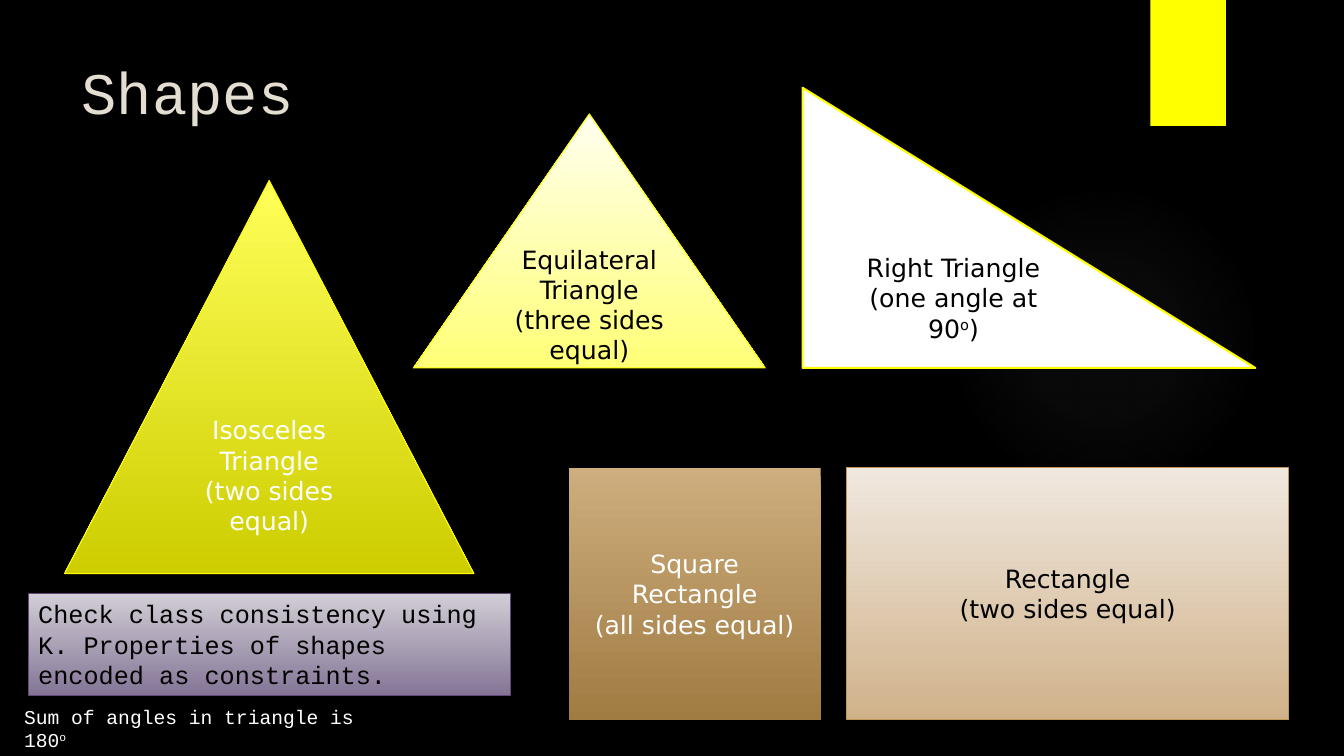
from dataclasses import dataclass

from lxml import etree
from pptx import Presentation
from pptx.dml.color import RGBColor
from pptx.enum import shapes, text
from pptx.oxml import ns
from pptx.util import Inches, Pt


@dataclass(frozen=True)
class Theme:
    background: str = "000000"
    heading: str = "E3DED1"
    accent: str = "FFFF00"
    light: str = "FFFFFF"
    dark: str = "000000"
    glow: str = "848484"
    tan_line: str = "C19859"
    note_line: str = "604878"
    isosceles: tuple = ("FFFF59", "CDCD00")
    equilateral: tuple = ("FFFFEF", "FFFF77")
    square: tuple = ("CEAE7E", "A07B42")
    rectangle: tuple = ("F0E8DF", "D0B28A")
    note: tuple = ("D1CDD5", "847596")
    mono: str = "Courier New"
    sans: str = "DejaVu Sans"
    title_size: int = 42
    body_size: int = 18
    small_size: int = 14


THEME = Theme()
SHAPE = shapes.MSO_SHAPE
ALIGN = text.PP_ALIGN
ANCHOR = text.MSO_ANCHOR


def rgb(value):
    return RGBColor.from_string(value)


def write(frame, lines, font, size, color, align=ALIGN.LEFT, anchor=ANCHOR.TOP):
    """Fill a text frame; parts between carets are superscript."""
    frame.word_wrap = True
    frame.auto_size = text.MSO_AUTO_SIZE.NONE
    frame.vertical_anchor = anchor
    for index, line in enumerate(lines):
        paragraph = frame.add_paragraph() if index else frame.paragraphs[0]
        paragraph.alignment = align
        paragraph.font.name = font
        paragraph.font.size = Pt(size)
        paragraph.font.color.rgb = rgb(color)
        for part, piece in enumerate(line.split("^")):
            run = paragraph.add_run()
            run.text = piece
            if part % 2:
                run.font._element.set("baseline", "30000")


def add_figure(slide, kind, box, fill, line=None, width=0.75):
    """Add a preset shape; a pair of colours gives a top-to-bottom gradient."""
    shape = slide.shapes.add_shape(kind, *map(Inches, box))
    shape.shadow.inherit = False
    if isinstance(fill, tuple):
        shape.fill.gradient()
        shape.fill.gradient_angle = 270
        for stop, color in zip(shape.fill.gradient_stops, fill):
            stop.color.rgb = rgb(color)
    else:
        shape.fill.solid()
        shape.fill.fore_color.rgb = rgb(fill)
    if line:
        shape.line.color.rgb = rgb(line)
        shape.line.width = Pt(width)
    else:
        shape.line.fill.background()
    return shape


def add_labelled(slide, kind, box, lines, color, fill, line=None, width=0.75):
    shape = add_figure(slide, kind, box, fill, line, width)
    write(shape.text_frame, lines, THEME.sans, THEME.body_size, color,
          ALIGN.CENTER, ANCHOR.MIDDLE)


def add_glow(slide, box):
    """Faint round glow that fades out towards its edge."""
    glow = add_figure(slide, SHAPE.OVAL, box, THEME.glow)
    solid = glow._element.spPr.find(ns.qn("a:solidFill"))
    stops = "".join(
        f'<a:gs pos="{position}000"><a:srgbClr val="{THEME.glow}">'
        f'<a:alpha val="{alpha}000"/></a:srgbClr></a:gs>'
        for position, alpha in ((0, 7), (36, 6), (69, 0)))
    gradient = etree.fromstring(
        f'<a:gradFill {ns.nsdecls("a")}><a:gsLst>{stops}</a:gsLst>'
        '<a:path path="circle"><a:fillToRect l="50000" t="50000" '
        'r="50000" b="50000"/></a:path></a:gradFill>')
    solid.getparent().replace(solid, gradient)


def add_title(slide, box):
    title = slide.shapes.title
    title.left, title.top, title.width, title.height = map(Inches, box)
    write(title.text_frame, ["Shapes"], THEME.mono, THEME.title_size, THEME.heading)


def add_triangles(slide, left, top):
    """Three triangles; the right-hand two share a base line."""
    base = top + 2.78
    add_labelled(slide, SHAPE.ISOSCELES_TRIANGLE, (left, top + 0.92, 4.06, 3.9),
                 ["Isosceles Triangle", "(two sides equal)"],
                 THEME.light, THEME.isosceles, THEME.accent)
    add_labelled(slide, SHAPE.RIGHT_TRIANGLE, (left + 7.32, top, 4.49, 2.78),
                 ["Right Triangle", "(one angle at 90^o^)"],
                 THEME.dark, THEME.light, THEME.accent, 1.5)
    add_labelled(slide, SHAPE.ISOSCELES_TRIANGLE, (left + 3.46, base - 2.52, 3.49, 2.52),
                 ["Equilateral Triangle", "(three sides equal)"],
                 THEME.dark, THEME.equilateral, THEME.accent)


def add_rectangles(slide, left, top, side):
    add_labelled(slide, SHAPE.RECTANGLE, (left, top, side, side),
                 ["Square", "Rectangle", "(all sides equal)"],
                 THEME.light, THEME.square)
    add_labelled(slide, SHAPE.RECTANGLE, (left + side + 0.26, top, 4.38, side),
                 ["Rectangle", "(two sides equal)"],
                 THEME.dark, THEME.rectangle, THEME.tan_line)


def add_notes_area(slide, left, top):
    """Angle-sum remark below the boxed remark on consistency."""
    remark = slide.shapes.add_textbox(
        Inches(left - 0.14), Inches(top + 1.05), Inches(3.75), Inches(0.34))
    write(remark.text_frame, ["Sum of angles in triangle is 180^o^"],
          THEME.mono, THEME.small_size, THEME.light)
    note = add_figure(slide, SHAPE.RECTANGLE, (left, top, 4.78, 1.01),
                      THEME.note, THEME.note_line)
    write(note.text_frame,
          ["Check class consistency using K. Properties of shapes encoded as constraints."],
          THEME.mono, THEME.body_size, THEME.dark)


def main():
    presentation = Presentation()
    presentation.slide_width = Inches(13.33)
    presentation.slide_height = Inches(7.5)
    slide = presentation.slides.add_slide(presentation.slide_layouts.get_by_name("Title Only"))
    slide.background.fill.solid()
    slide.background.fill.fore_color.rgb = rgb(THEME.background)

    # Backdrop
    add_glow(slide, (9.41, 1.83, 3.08, 3.08))
    add_figure(slide, SHAPE.RECTANGLE, (11.41, 0, 0.75, 1.25), THEME.accent)

    # Content
    add_title(slide, (0.71, 0.5, 10.29, 1.53))
    add_triangles(slide, 0.64, 0.87)
    add_rectangles(slide, 5.64, 4.64, 2.5)
    add_notes_area(slide, 0.28, 5.89)
    presentation.save("out.pptx")


if __name__ == "__main__":
    main()
